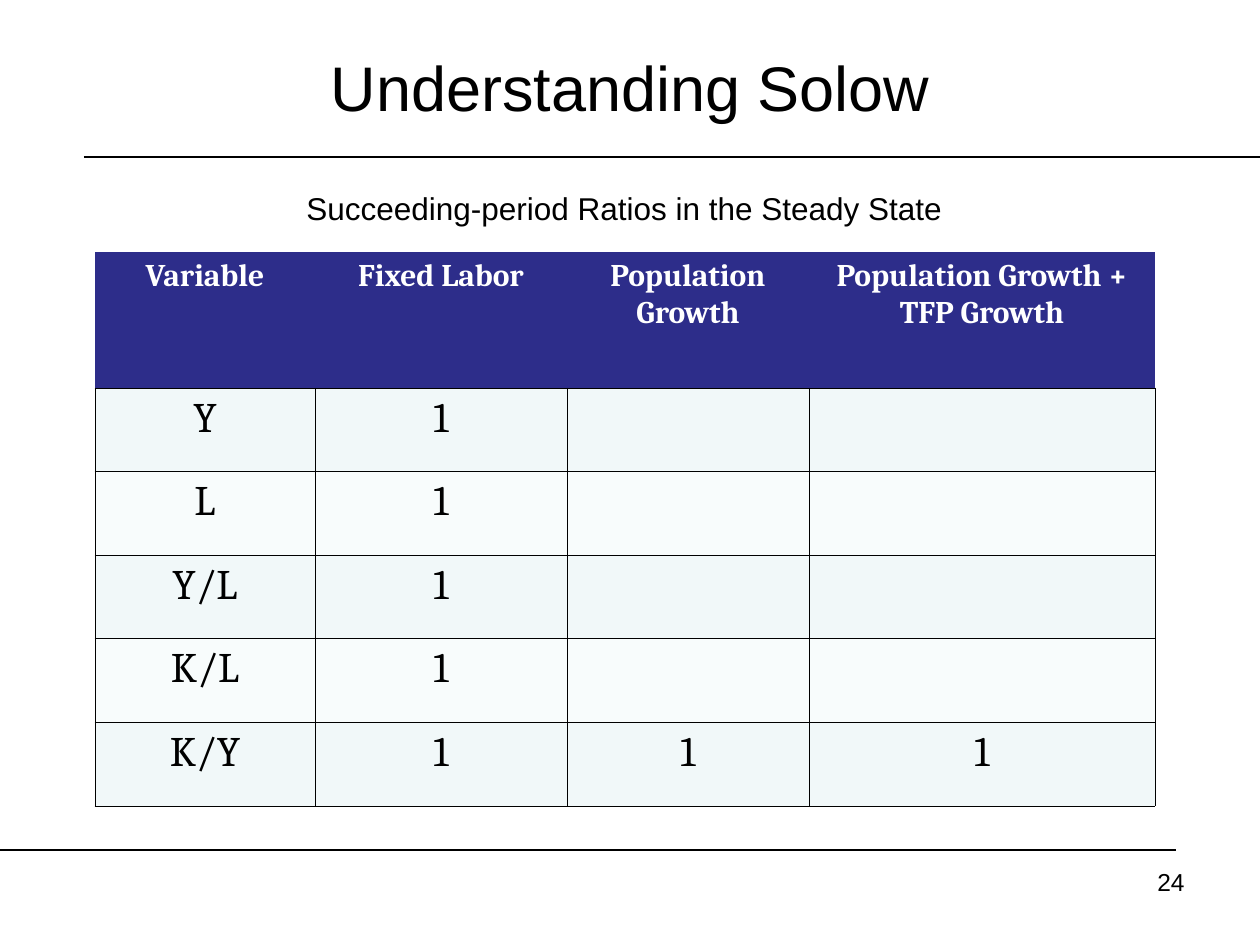
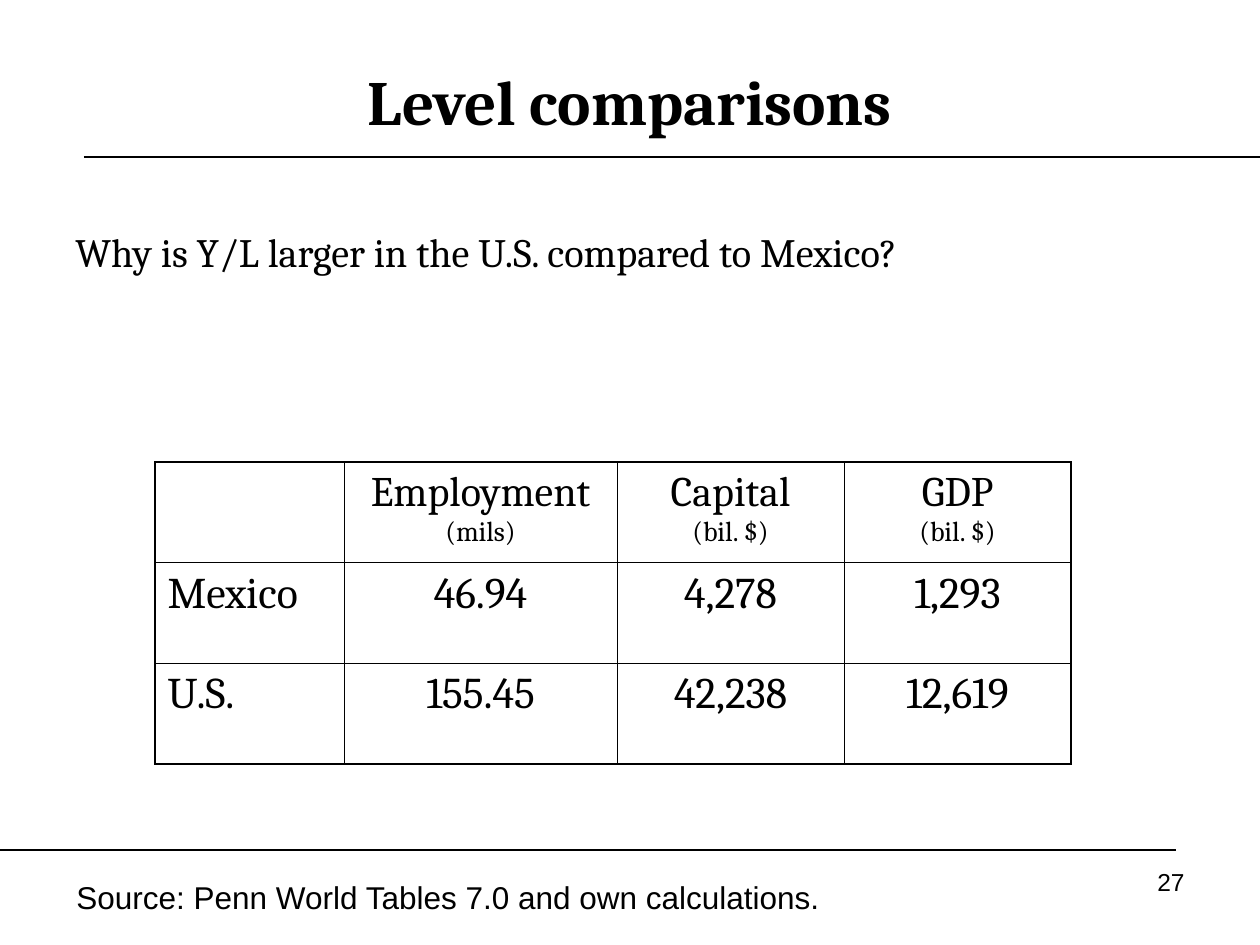
import dataclasses

import lxml.etree
import pptx
import pptx.dml.color
import pptx.enum.shapes
import pptx.enum.text
import pptx.oxml.ns
import pptx.util

ALIGN = pptx.enum.text.PP_ALIGN
MIDDLE = pptx.enum.text.MSO_ANCHOR.MIDDLE
SCALE = 914400 / 126


@dataclasses.dataclass(frozen=True)
class Theme:
    """Colours, faces and type sizes of the deck."""
    ink: str = "000000"
    white: str = "FFFFFF"
    navy: str = "2D2D8A"
    bands: tuple = ("F1F8F9", "F8FCFC")
    sans: str = "Arial"
    serif: str = "Cambria"
    title: float = 36
    figure: float = 25
    cell: float = 24
    body: float = 23
    label: float = 18
    unit: float = 16
    page: float = 14
    rule: float = 0.75
    thin: float = 0.45
    thick: float = 1.08


THEME = Theme()


def px(length):
    """Turn px into EMU."""
    return pptx.util.Emu(round(length * SCALE))


def rgb(code):
    """Turn a hex code into a colour."""
    return pptx.dml.color.RGBColor.from_string(code)


def add(parent, tag, **attrs):
    """Append a drawing element to its parent."""
    return lxml.etree.SubElement(parent, pptx.oxml.ns.qn(tag), **attrs)


def write(frame, text, size, face, align=ALIGN.LEFT, color=THEME.ink, bold=False):
    """Fill a text frame, one paragraph a line."""
    frame.text = text
    for para in frame.paragraphs:
        para.alignment = align
        para.font.size = pptx.util.Pt(size)
        para.font.name = face
        para.font.bold = bold
        para.font.color.rgb = rgb(color)


def label(slide, box, text, size, face, wrap=True, anchor=None, **style):
    """Place a text box and return its frame."""
    frame = slide.shapes.add_textbox(*map(px, box)).text_frame
    frame.word_wrap = wrap
    frame.vertical_anchor = anchor
    write(frame, text, size, face, **style)
    return frame


def rule(slide, left, right, y):
    """Draw a thin line across the slide."""
    kind = pptx.enum.shapes.MSO_CONNECTOR.STRAIGHT
    line = slide.shapes.add_connector(kind, px(left), px(y), px(right), px(y))
    line.line.color.rgb = rgb(THEME.ink)
    line.line.width = pptx.util.Pt(THEME.rule)
    add(line._element.spPr, "a:effectLst")


def start(deck, number):
    """Add a blank slide with its rules and page number."""
    slide = deck.slides.add_slide(deck.slide_layouts[6])
    rule(slide, 84, 1260, 157)
    rule(slide, 0, 1176, 850)
    label(slide, (903, 861, 294, 66), str(number), THEME.page, THEME.sans,
          align=ALIGN.RIGHT)
    return slide


def bullet(slide, box, text):
    """Place one bulleted paragraph."""
    frame = label(slide, box, "", THEME.body, THEME.serif)
    para = frame.paragraphs[0]
    props = para._p.get_or_add_pPr()
    props.clear()
    props.set("marL", str(px(48)))
    props.set("indent", str(px(-48)))
    tint = add(props, "a:buClr")
    add(tint, "a:srgbClr", val=THEME.ink)
    add(props, "a:buFont", typeface=THEME.sans)
    add(props, "a:buChar", char="•")
    write(frame, text, THEME.body, THEME.serif)


def paint(cell, color):
    """Fill a cell, or leave it clear."""
    if color:
        cell.fill.solid()
        cell.fill.fore_color.rgb = rgb(color)
    else:
        cell.fill.background()


def edge(cell, left, right, top, bottom):
    """Set the four border widths of a cell, 0 for none."""
    props = cell._tc.get_or_add_tcPr()
    for spot, (side, width) in enumerate(zip("LRTB", (left, right, top, bottom))):
        line = add(props, "a:ln" + side, w=str(pptx.util.Pt(width)))
        if width:
            add(add(line, "a:solidFill"), "a:srgbClr", val=THEME.ink)
        else:
            add(line, "a:noFill")
        props.insert(spot, line)


def grid(slide, left, top, widths, heights):
    """Add an unstyled table and return it."""
    size = sum(widths), sum(heights)
    table = slide.shapes.add_table(
        len(heights), len(widths), *map(px, (left, top, *size))).table
    table.first_row = table.horz_banding = False
    for column, width in zip(table.columns, widths):
        column.width = px(width)
    for row, height in zip(table.rows, heights):
        row.height = px(height)
    return table


def ratios(slide, box):
    """Build the table of steady-state ratios."""
    left, top, width, height = box
    heads = ("Variable", "Fixed Labor", "Population Growth",
             "Population Growth +\nTFP Growth")
    rows = [heads] + [(name, "1", "", "") for name in ("Y", "L", "Y/L", "K/L")]
    rows.append(("K/Y", "1", "1", "1"))
    first, second, third, head = 220, 252, 242, 136
    widths = first, second, third, width - first - second - third
    count = len(rows) - 1
    table = grid(slide, left, top, widths, [head] + [(height - head) / count] * count)
    for r, row in enumerate(rows):
        for c, text in enumerate(row):
            cell = table.cell(r, c)
            if r:
                paint(cell, THEME.bands[(r - 1) % 2])
                edge(cell, *[THEME.thin] * 4)
                write(cell.text_frame, text, THEME.cell, THEME.serif, ALIGN.CENTER)
            else:
                paint(cell, THEME.navy)
                edge(cell, 0, 0, 0, THEME.thin)
                write(cell.text_frame, text, THEME.label, THEME.serif,
                      ALIGN.CENTER, THEME.white, True)


def levels(slide, box):
    """Build the table of country levels."""
    left, top, width, height = box
    rows = (
        ("", "Employment\v(mils)", "Capital\v(bil. $)", "GDP\v(bil. $)"),
        ("Mexico", "46.94", "4,278", "1,293"),
        ("U.S.", "155.45", "42,238", "12,619"),
    )
    name, jobs = 189, 273
    rest = (width - name - jobs) / 2
    table = grid(slide, left, top, (name, jobs, rest, rest), [height / len(rows)] * len(rows))
    for r, row in enumerate(rows):
        for c, text in enumerate(row):
            cell = table.cell(r, c)
            paint(cell, None)
            outer = c == 0, c == len(row) - 1, r == 0, r == len(rows) - 1
            edge(cell, *(THEME.thick if out else THEME.thin for out in outer))
            write(cell.text_frame, text, THEME.figure if r else THEME.cell,
                  THEME.serif, ALIGN.CENTER if c else ALIGN.LEFT)
            for run in cell.text_frame.paragraphs[0].runs[1:]:
                run.font.size = pptx.util.Pt(THEME.unit)


def solow(deck):
    """Build the slide on steady-state ratios."""
    slide = start(deck, 24)
    label(slide, (189, 42, 882, 88), "Understanding Solow", THEME.title,
          THEME.sans, align=ALIGN.CENTER)
    ratios(slide, (95, 252, 1060, 554))
    label(slide, (294, 183, 672, 50), "Succeeding-period Ratios in the Steady State",
          THEME.label, THEME.sans)


def compare(deck):
    """Build the slide on level comparisons."""
    slide = start(deck, 27)
    label(slide, (63, 42, 1134, 116), "Level comparisons", THEME.title,
          THEME.serif, anchor=MIDDLE, align=ALIGN.CENTER, bold=True)
    bullet(slide, (63, 221, 1134, 301),
           "Why is Y/L larger in the U.S. compared to Mexico?")
    levels(slide, (155, 462, 916, 302))
    label(slide, (64, 872, 772, 50),
          "Source: Penn World Tables 7.0 and own calculations.",
          THEME.label, THEME.sans, wrap=False)


def main():
    """Build and save the deck."""
    deck = pptx.Presentation()
    deck.slide_width, deck.slide_height = px(1260), px(945)
    solow(deck)
    compare(deck)
    deck.save("out.pptx")


if __name__ == "__main__":
    main()
